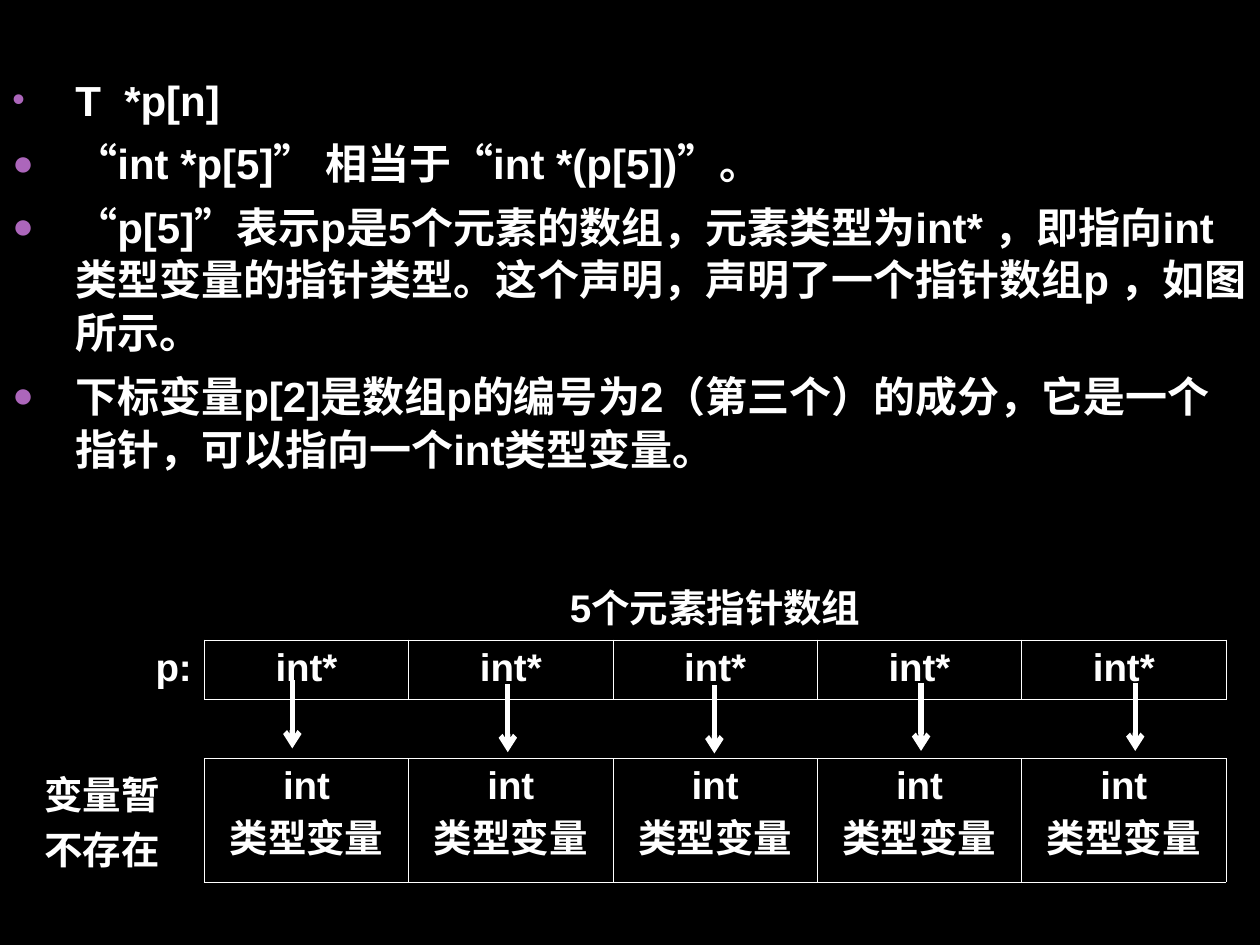
import pptx
import pptx.dml.color
import pptx.enum.lang
import pptx.enum.shapes
import pptx.enum.text
import pptx.oxml
import pptx.oxml.ns
import pptx.util

Inches, Pt = pptx.util.Inches, pptx.util.Pt
RGBColor = pptx.dml.color.RGBColor
ALIGN = pptx.enum.text.PP_ALIGN

BLACK = RGBColor(0x00, 0x00, 0x00)
WHITE = RGBColor(0xFF, 0xFF, 0xFF)
PURPLE = RGBColor(0xAC, 0x66, 0xBB)
FONT = "Arial"
WIDTH, HEIGHT = 10, 7.5

BULLETS = [
    ("•", "T  *p[n]"),
    ("●", "“int *p[5]” 相当于“int *(p[5])”。"),
    ("●", "“p[5]”表示p是5个元素的数组，元素类型为int* ，即指向int类型变量的指针类型。"
          "这个声明，声明了一个指针数组p ，如图所示。"),
    ("●", "下标变量p[2]是数组p的编号为2（第三个）的成分，它是一个指针，可以指向一个int类型变量。"),
]

ELEMENTS = 5
CAPTION = "5个元素指针数组"
TABLE_ROWS = [
    ["", "", CAPTION, "", "", ""],
    ["p:"] + ["int*"] * ELEMENTS,
    [""] * (ELEMENTS + 1),
    ["变量暂\v不存在"] + ["int\n类型变量"] * ELEMENTS,
]
ROW_HEIGHTS = [0.54, 0.47, 0.47, 0.98]
TABLE_TOP, TABLE_WIDTH = 4.54, 9.73
BOXED_ROWS = (1, 3)
SIDES = {"L": (0, -1), "R": (0, 1), "T": (-1, 0), "B": (1, 0)}

ARROWS = [(2.32, 5.40), (4.03, 5.43), (5.67, 5.44), (7.31, 5.42), (9.01, 5.42)]
ARROW_LENGTH = 0.54


def element(tag, content="", **attributes):
    """Make a DrawingML element."""
    values = "".join(f' {name}="{value}"' for name, value in attributes.items())
    namespace = pptx.oxml.ns.nsdecls("a")
    return pptx.oxml.parse_xml(f"<a:{tag} {namespace}{values}>{content}</a:{tag}>")


def add_text(paragraph, text, size):
    """Add bold white text, with a line break at each vertical tab."""
    for index, line in enumerate(text.split("\v")):
        if index:
            paragraph.add_line_break()
        run = paragraph.add_run()
        run.text = line
        font = run.font
        font.name, font.size, font.bold = FONT, Pt(size), True
        font.color.rgb = WHITE
        font.language_id = pptx.enum.lang.MSO_LANGUAGE_ID.SIMPLIFIED_CHINESE


def add_bullets(slide):
    box = slide.shapes.add_textbox(0, Inches(0.52), Inches(WIDTH), Inches(3.51))
    frame = box.text_frame
    frame.word_wrap = True
    for index, (mark, text) in enumerate(BULLETS):
        paragraph = frame.add_paragraph() if index else frame.paragraphs[0]
        properties = paragraph._p.get_or_add_pPr()
        properties.set("marL", str(Inches(0.5)))
        properties.set("indent", str(Inches(-0.5)))
        properties.append(element("buClr", f'<a:srgbClr val="{PURPLE}"/>'))
        properties.append(element("buSzPct", val=85000))
        properties.append(element("buFont", typeface=FONT))
        properties.append(element("buChar", char=mark))
        paragraph.line_spacing = 1.05
        if index:
            paragraph.space_before = Pt(6)
        add_text(paragraph, text, 24)


def is_boxed(row, column):
    return row in BOXED_ROWS and 1 <= column <= ELEMENTS


def set_borders(cell, row, column):
    """Draw each edge that belongs to this cell's box or to a neighbour's."""
    properties = cell._tc.get_or_add_tcPr()
    for side, (down, across) in SIDES.items():
        drawn = is_boxed(row, column) or is_boxed(row + down, column + across)
        paint = (f'<a:solidFill><a:srgbClr val="{WHITE}"/></a:solidFill>'
                 if drawn else "<a:noFill/>")
        properties.append(element(f"ln{side}", paint, w=Pt(0.45)))


def add_array_table(slide):
    columns = ELEMENTS + 1
    table = slide.shapes.add_table(
        len(TABLE_ROWS), columns, 0, Inches(TABLE_TOP),
        Inches(TABLE_WIDTH), Inches(sum(ROW_HEIGHTS))).table
    table.first_row = table.horz_banding = False
    for column in table.columns:
        column.width = Inches(TABLE_WIDTH / columns)
    for row, (texts, height) in enumerate(zip(TABLE_ROWS, ROW_HEIGHTS)):
        table.rows[row].height = Inches(height)
        for column, text in enumerate(texts):
            cell = table.cell(row, column)
            set_borders(cell, row, column)
            cell.fill.background()
            if not text:
                continue
            frame = cell.text_frame
            for index, line in enumerate(text.split("\n")):
                paragraph = frame.add_paragraph() if index else frame.paragraphs[0]
                paragraph.alignment = ALIGN.RIGHT if text == "p:" else ALIGN.CENTER
                add_text(paragraph, line, 22)
    table.cell(0, 2).merge(table.cell(0, 4))


def add_arrow(slide, x, top):
    arrow = slide.shapes.add_connector(
        pptx.enum.shapes.MSO_CONNECTOR.STRAIGHT,
        Inches(x), Inches(top), Inches(x), Inches(top + ARROW_LENGTH))
    arrow.line.color.rgb = WHITE
    arrow.line.width = Pt(3)
    arrow.line._get_or_add_ln().append(element("tailEnd", type="arrow"))
    arrow._element.spPr.append(element("effectLst"))


def main():
    presentation = pptx.Presentation()
    presentation.slide_width, presentation.slide_height = Inches(WIDTH), Inches(HEIGHT)
    slide = presentation.slides.add_slide(presentation.slide_layouts[6])
    slide.background.fill.solid()
    slide.background.fill.fore_color.rgb = BLACK
    add_bullets(slide)
    add_array_table(slide)
    for x, top in ARROWS:
        add_arrow(slide, x, top)
    presentation.save("out.pptx")


if __name__ == "__main__":
    main()
